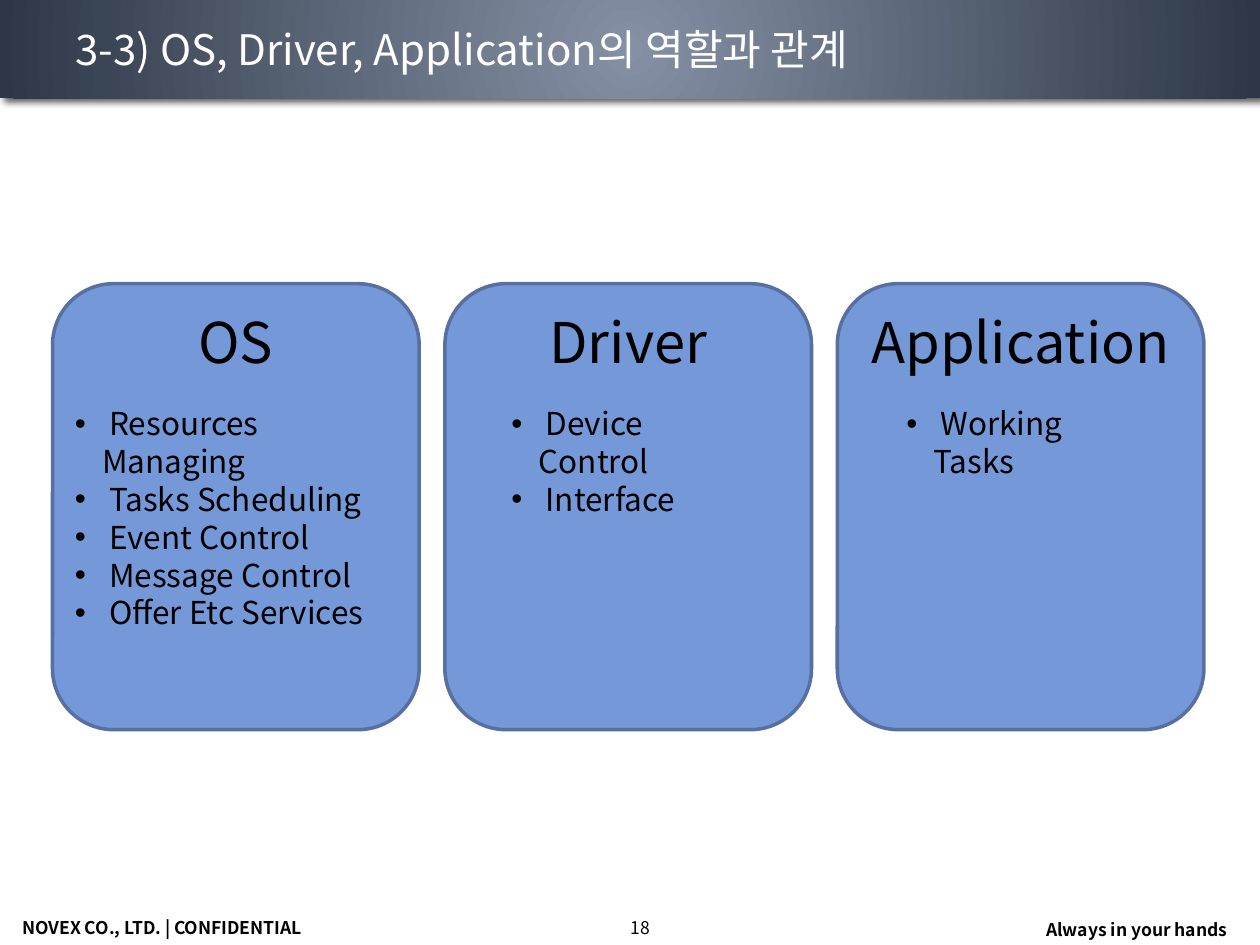
import pptx
import pptx.dml.color
import pptx.enum.shapes
import pptx.enum.text
import pptx.oxml
import pptx.oxml.ns
import pptx.util

Cm = pptx.util.Cm
Pt = pptx.util.Pt
RGBColor = pptx.dml.color.RGBColor
ALIGN = pptx.enum.text.PP_ALIGN
ANCHOR = pptx.enum.text.MSO_ANCHOR
SHAPE = pptx.enum.shapes.MSO_SHAPE

FONT = "Noto Sans CJK KR"
BLACK = RGBColor(0x00, 0x00, 0x00)
WHITE = RGBColor(0xFF, 0xFF, 0xFF)
HEADER_CENTER = RGBColor(0x85, 0x90, 0xA4)
HEADER_EDGE = RGBColor(0x2D, 0x37, 0x47)
CARD_FILL = RGBColor(0x75, 0x98, 0xD9)
CARD_LINE = RGBColor(0x57, 0x70, 0xA1)

SLIDE_WIDTH, SLIDE_HEIGHT = 25.4, 19.05
HEADER_HEIGHT = 1.98
BULLET_INDENT = 0.55

# Heading, bullet lines, inset and width of the bullet list
ROLES = [
    ("OS", ["Resources Managing", "Tasks Scheduling", "Event Control",
            "Message Control", "Offer Etc Services"], 0.2, 7.01),
    ("Driver", ["Device Control", "Interface"], 1.09, 5.23),
    ("Application", ["Working Tasks"], 1.14, 5.11),
]


def write(frame, lines, size=18, color=BLACK, bold=False, align=ALIGN.LEFT,
          anchor=ANCHOR.TOP, bullet=None):
    frame.word_wrap = True
    frame.vertical_anchor = anchor
    for index, line in enumerate(lines):
        paragraph = frame.paragraphs[0] if index == 0 else frame.add_paragraph()
        paragraph.alignment = align
        run = paragraph.add_run()
        run.text = line
        run.font.size = Pt(size)
        run.font.bold = bold
        run.font.color.rgb = color
        run.font.name = FONT
        east_asian = pptx.oxml.parse_xml(
            f'<a:ea {pptx.oxml.ns.nsdecls("a")} typeface="{FONT}"/>')
        run.font._element.find(pptx.oxml.ns.qn("a:latin")).addnext(east_asian)
        if bullet:
            properties = paragraph._p.get_or_add_pPr()
            properties.set("marL", str(Cm(BULLET_INDENT)))
            properties.set("indent", str(-Cm(BULLET_INDENT)))
            properties.append(pptx.oxml.parse_xml(
                f'<a:buFont {pptx.oxml.ns.nsdecls("a")} typeface="Arial"/>'))
            properties.append(pptx.oxml.parse_xml(
                f'<a:buChar {pptx.oxml.ns.nsdecls("a")} char="{bullet}"/>'))


def add_text(slide, left, top, width, height, lines, **style):
    box = slide.shapes.add_textbox(Cm(left), Cm(top), Cm(width), Cm(height))
    write(box.text_frame, lines, **style)


def add_header(slide, left, top, width, height, title):
    band = slide.shapes.add_shape(
        SHAPE.RECTANGLE, Cm(left), Cm(top), Cm(width), Cm(height))
    band.line.fill.background()
    # Radial gradient and soft shadow below the band
    namespace = pptx.oxml.ns.nsdecls("a")
    gradient = pptx.oxml.parse_xml(
        f'<a:gradFill {namespace} rotWithShape="1"><a:gsLst>'
        f'<a:gs pos="0"><a:srgbClr val="{HEADER_CENTER}"/></a:gs>'
        f'<a:gs pos="100000"><a:srgbClr val="{HEADER_EDGE}"/></a:gs></a:gsLst>'
        '<a:path path="circle"><a:fillToRect l="50000" t="50000" r="50000" b="50000"/>'
        '</a:path></a:gradFill>')
    shadow = pptx.oxml.parse_xml(
        f'<a:effectLst {namespace}><a:outerShdw blurRad="{Pt(4)}" dist="{Pt(3)}" '
        'dir="2700000" algn="tl" rotWithShape="0"><a:srgbClr val="000000">'
        '<a:alpha val="64000"/></a:srgbClr></a:outerShdw></a:effectLst>')
    properties = band._element.spPr
    properties.find(pptx.oxml.ns.qn("a:prstGeom")).addnext(gradient)
    properties.append(shadow)
    add_text(slide, left + 1.27, top, width - 2.54, height, [title],
             size=24, color=WHITE, anchor=ANCHOR.MIDDLE)


def add_card(slide, left, top, width, height, heading, duties, inset, list_width):
    card = slide.shapes.add_shape(
        SHAPE.ROUNDED_RECTANGLE, Cm(left), Cm(top), Cm(width), Cm(height))
    card.shadow.inherit = False
    card.fill.solid()
    card.fill.fore_color.rgb = CARD_FILL
    card.line.color.rgb = CARD_LINE
    card.line.width = Pt(2)
    write(card.text_frame, [heading], size=32, align=ALIGN.CENTER)
    add_text(slide, left + inset, top + 2.31, list_width, 0.25 + 0.76 * len(duties),
             [f" {duty}" for duty in duties], bullet="•")


def add_cards(slide, left, top, width, height, gap):
    card_width = (width - gap * (len(ROLES) - 1)) / len(ROLES)
    for index, role in enumerate(ROLES):
        add_card(slide, left + index * (card_width + gap), top,
                 card_width, height, *role)


def add_footer(slide, left, top, width):
    add_text(slide, left + 0.2, top, 6.76, 0.69,
             ["NOVEX CO., LTD. | CONFIDENTIAL"], size=10, bold=True)
    add_text(slide, left + 9.53, top, 6.76, 0.69, ["18"],
             size=10, align=ALIGN.CENTER)
    add_text(slide, left + width - 4.57, top - 0.13, 4.17, 1.02,
             ["Always in your hands"], size=10, bold=True,
             align=ALIGN.CENTER, anchor=ANCHOR.MIDDLE)


def main():
    deck = pptx.Presentation()
    deck.slide_width, deck.slide_height = Cm(SLIDE_WIDTH), Cm(SLIDE_HEIGHT)
    slide = deck.slides.add_slide(deck.slide_layouts[6])
    add_header(slide, 0, 0, SLIDE_WIDTH, HEADER_HEIGHT,
               "3-3) OS, Driver, Application의 역할과 관계")
    add_cards(slide, 1.06, 5.72, 23.21, 8.99, gap=0.52)
    add_footer(slide, 0, 18.36, SLIDE_WIDTH)
    deck.save("out.pptx")


if __name__ == "__main__":
    main()
